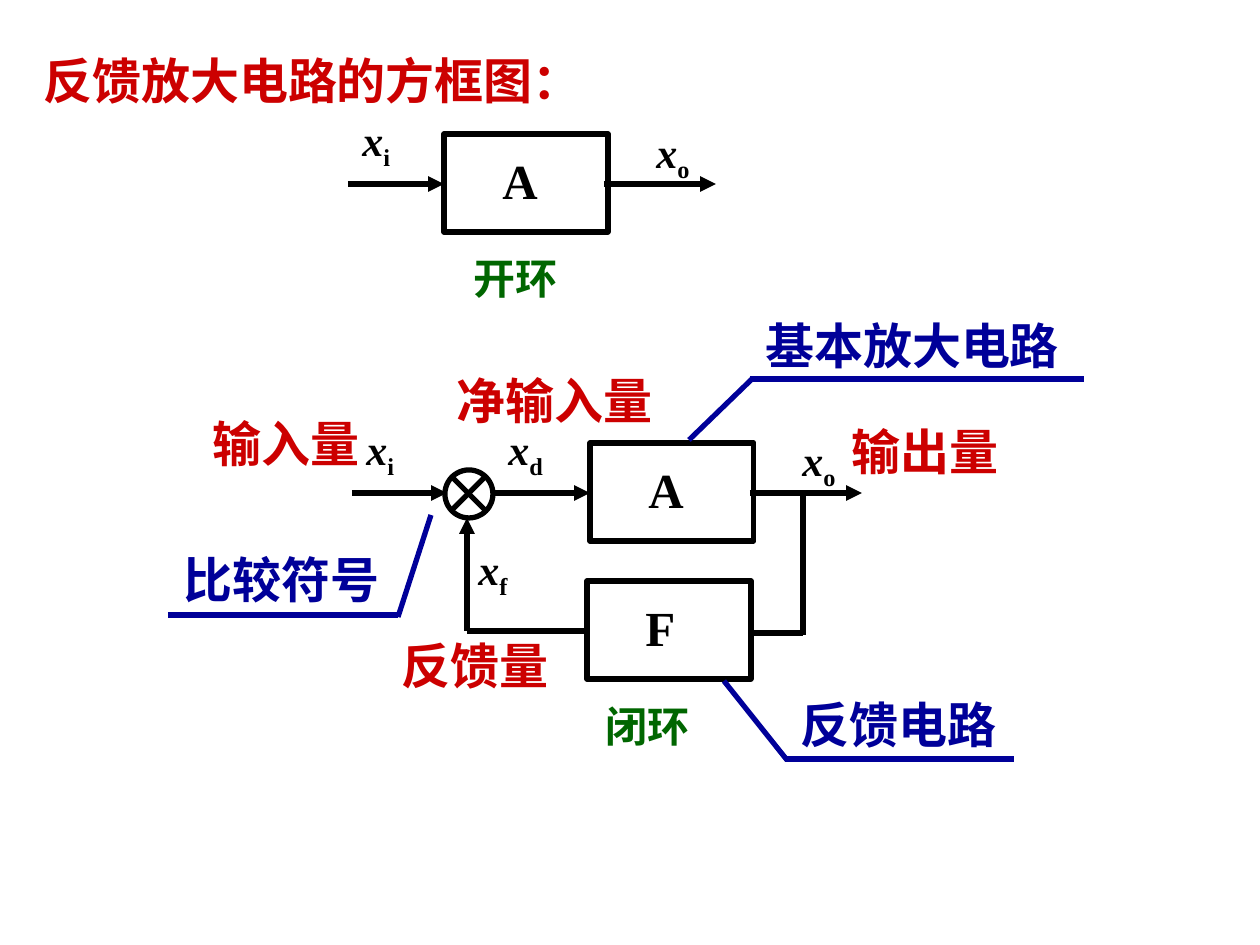
"""Build the slide of open-loop and closed-loop feedback amplifier block diagrams."""
from lxml.etree import SubElement
from pptx import Presentation
from pptx.dml.color import RGBColor
from pptx.enum.shapes import MSO_CONNECTOR, MSO_SHAPE
from pptx.enum.text import MSO_ANCHOR
from pptx.oxml.ns import qn
from pptx.util import Pt

PX = 914400 // 126
BLACK = RGBColor(0x00, 0x00, 0x00)
RED = RGBColor(0xCC, 0x00, 0x00)
GREEN = RGBColor(0x00, 0x66, 0x00)
BLUE = RGBColor(0x00, 0x00, 0x99)
ROMAN, SANS = "Times New Roman", "Noto Sans CJK SC"

TITLE = ("反馈放大电路的方框图：", 31, 25, 588, 110)
BLOCKS = [("A", 444, 134), ("A", 590, 443), ("F", 587, 581)]
SIGNALS = [
    ("i", 350, 108), ("o", 644, 120), ("d", 496, 417),
    ("o", 790, 428), ("i", 354, 417), ("f", 466, 537),
]
LABELS = [
    ("开环", 461, 246, 112, 24, GREEN, ROMAN),
    ("闭环", 593, 694, 112, 24, GREEN, ROMAN),
    ("基本放大电路", 753, 309, 323, 28, BLUE, SANS),
    ("反馈电路", 788, 688, 225, 28, BLUE, SANS),
    ("比较符号", 171, 543, 225, 28, BLUE, SANS),
    ("输入量", 200, 407, 176, 28, RED, ROMAN),
    ("输出量", 839, 415, 203, 28, RED, ROMAN),
    ("反馈量", 389, 629, 185, 28, RED, ROMAN),
    ("净输入量", 444, 364, 246, 28, RED, ROMAN),
]
ARROWS = [
    (348, 184, 444, 184), (604, 184, 716, 184), (494, 493, 590, 493),
    (750, 493, 862, 493), (467, 631, 467, 518), (352, 493, 447, 493),
]
WIRES = [(803, 492, 803, 635), (803, 633, 751, 633), (588, 631, 467, 631)]
CROSS = [(485, 477, 452, 510), (452, 477, 486, 511)]
LEADS = [
    (689, 440, 752, 379), (750, 379, 1084, 379),
    (724, 681, 787, 760), (785, 759, 1014, 759),
    (431, 515, 398, 617), (168, 615, 398, 615),
]


def scale(*vals):
    return [val * PX for val in vals]


def style(obj, props):
    for key, val in props.items():
        setattr(obj, key, val)


def write(slide, runs, rect, color, face, size, anchor=MSO_ANCHOR.TOP):
    frame = slide.shapes.add_textbox(*scale(*rect)).text_frame
    style(frame, {"word_wrap": True, "vertical_anchor": anchor})
    for text, props in runs:
        run = frame.paragraphs[0].add_run()
        run.text = text
        style(run.font, {"name": face, "size": Pt(size), "bold": True, **props})
        run.font.color.rgb = color
        if "italic" in props and not props["italic"]:
            run.font._element.set("baseline", "-25000")


def outline(slide, kind, rect):
    shape = slide.shapes.add_shape(kind, *scale(*rect))
    shape.shadow.inherit = False
    shape.fill.background()
    shape.line.color.rgb = BLACK
    shape.line.width = Pt(3)


def wire(slide, ends, color, arrow=False):
    line = slide.shapes.add_connector(MSO_CONNECTOR.STRAIGHT, *scale(*ends))
    line.line.color.rgb = color
    line.line.width = Pt(3)
    if arrow:
        SubElement(line.line._get_or_add_ln(), qn("a:tailEnd"), type="triangle")
    SubElement(line._element.spPr, qn("a:effectLst"))


def main():
    deck = Presentation()
    deck.slide_width, deck.slide_height = scale(1260, 945)
    slide = deck.slides.add_slide(deck.slide_layouts[6])
    title, *rect = TITLE
    write(slide, [(title, {})], rect, RED, "Arial", 28, MSO_ANCHOR.MIDDLE)
    for name, x, y in BLOCKS:
        write(slide, [(name, {})], (x + 46, y + 10, 72, 72), BLACK, ROMAN, 28)
        outline(slide, MSO_SHAPE.RECTANGLE, (x, y, 164, 98))
    outline(slide, MSO_SHAPE.OVAL, (445, 470, 48, 48))
    for sub, x, y in SIGNALS:
        runs = [("x", {"italic": True}), (sub, {"italic": False})]
        write(slide, runs, (x, y, 78, 70), BLACK, ROMAN, 24)
    for text, x, y, w, size, color, face in LABELS:
        write(slide, [(text, {})], (x, y, w, 72), color, face, size)
    for ends in ARROWS:
        wire(slide, ends, BLACK, True)
    for ends in WIRES + CROSS:
        wire(slide, ends, BLACK)
    for ends in LEADS:
        wire(slide, ends, BLUE)
    deck.save("out.pptx")


if __name__ == "__main__":
    main()
